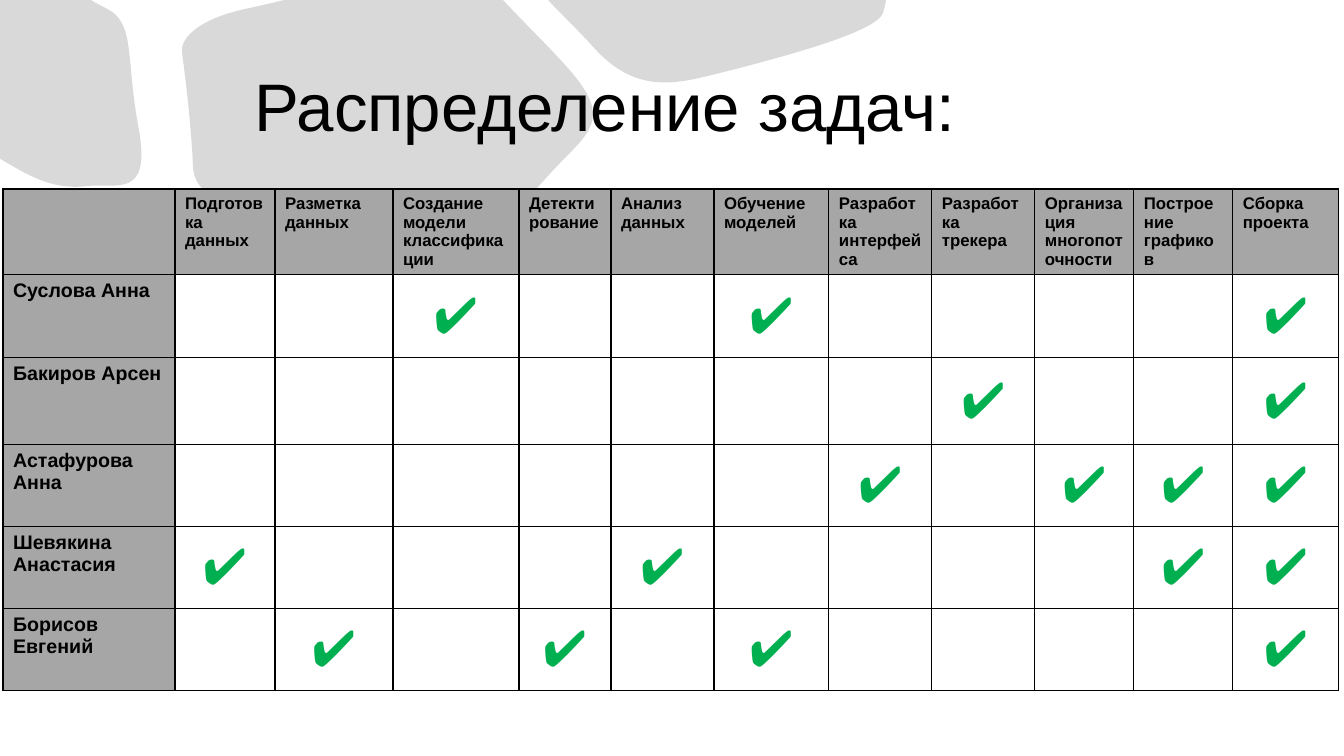
"""Build the task distribution slide: title, stone backdrop and assignment table."""
from lxml import etree
from pptx import Presentation
from pptx.dml.color import RGBColor
from pptx.enum.text import MSO_ANCHOR, PP_ALIGN
from pptx.oxml.ns import qn
from pptx.util import Pt

CENTER = PP_ALIGN.CENTER
LEFT = PP_ALIGN.LEFT
MIDDLE = MSO_ANCHOR.MIDDLE
BOTTOM = MSO_ANCHOR.BOTTOM

SLIDE_W, SLIDE_H = 1344, 756
SCALE = 12192000 / SLIDE_W
BLACK, WHITE, STONE, HEADER, GREEN = "000000", "FFFFFF", "D9D9D9", "A6A6A6", "00B050"

TITLE = "Распределение задач:"
TITLE_BOX = (101, 76, 1008, 69)
TABLE_AT = (3, 189)
COL_WIDTHS = [172, 100, 118, 126, 92, 103, 115, 103, 103, 99, 99, 106]
ROW_HEIGHTS = [83, 83, 87, 82, 82, 82]
TASKS = [
    "Подготовка данных", "Разметка данных", "Создание модели классификации",
    "Детектирование", "Анализ данных", "Обучение моделей",
    "Разработка интерфейса", "Разработка трекера",
    "Организация многопоточности", "Построение графиков", "Сборка проекта",
]
PEOPLE = [
    ("Суслова Анна", {3, 6, 11}),
    ("Бакиров Арсен", {8, 11}),
    ("Астафурова\nАнна", {7, 9, 10, 11}),
    ("Шевякина\nАнастасия", {1, 5, 10, 11}),
    ("Борисов Евгений", {2, 4, 6, 11}),
]
STONES = [
    [(548, 0), (561, 14, 578, 30, 596, 50), (642, 99, 685, 81, 732, 70),
     (782, 57, 877, 32, 883, 13), (884, 10, 885, 6, 886, 0)],
    [(111, 11), (106, 8, 99, 5, 91, 0), (-3, 0), (-3, 157),
     (22, 171, 49, 191, 87, 186), (117, 183, 151, 199, 139, 130),
     (126, 62, 135, 27, 111, 11)],
    [(503, 0), (284, 0), (269, 4, 254, 7, 241, 10), (195, 21, 180, 40, 182, 53),
     (187, 87, 192, 138, 193, 167), (194, 193, 222, 203, 248, 213),
     (271, 222, 374, 256, 397, 264), (397, 264, 449, 287, 478, 256),
     (507, 224, 539, 184, 566, 157), (590, 133, 604, 117, 582, 86),
     (570, 67, 527, 26, 503, 0)],
]


def px(n):
    return round(n * SCALE)


def rgb(color):
    return RGBColor.from_string(color)


def write(tf, text, size, font="Arial", color=BLACK, bold=False, align=LEFT):
    tf.text = text
    for p in tf.paragraphs:
        p.alignment = align
        for r in p.runs:
            r.font.size = Pt(size)
            r.font.name = font
            r.font.bold = bold
            r.font.color.rgb = rgb(color)


def bend(sp, segments):
    lines = list(sp._element.iter(qn("a:lnTo")))
    for line, seg in zip(lines, segments[1:]):
        if len(seg) == 2:
            continue
        line.tag = qn("a:cubicBezTo")
        for i in (2, 0):
            x, y = px(seg[i]) - sp.left, px(seg[i + 1]) - sp.top
            line.insert(0, etree.Element(qn("a:pt"), x=str(x), y=str(y)))


def add_stone(s, segments):
    corners = [(px(seg[-2]), px(seg[-1])) for seg in segments]
    builder = s.shapes.build_freeform(*corners[0])
    builder.add_line_segments(corners[1:], close=False)
    sp = builder.convert_to_shape()
    bend(sp, segments)
    sp.shadow.inherit = False
    sp.fill.solid()
    sp.fill.fore_color.rgb = rgb(STONE)
    sp.line.fill.background()


def style_cell(cell, color):
    tcPr = cell._tc.get_or_add_tcPr()
    for side in ("a:lnL", "a:lnR", "a:lnT", "a:lnB"):
        ln = etree.SubElement(tcPr, qn(side), w=str(Pt(1)))
        fill = etree.SubElement(ln, qn("a:solidFill"))
        etree.SubElement(fill, qn("a:srgbClr"), val=BLACK)
    cell.fill.solid()
    cell.fill.fore_color.rgb = rgb(color)


def add_tasks(s):
    box = (*TABLE_AT, sum(COL_WIDTHS), sum(ROW_HEIGHTS))
    table = s.shapes.add_table(len(ROW_HEIGHTS), len(COL_WIDTHS), *map(px, box)).table
    table.first_row = table.horz_banding = False
    for col, width in zip(table.columns, COL_WIDTHS):
        col.width = px(width)
    for row, height in zip(table.rows, ROW_HEIGHTS):
        row.height = px(height)
    for i in range(len(ROW_HEIGHTS)):
        for j in range(len(COL_WIDTHS)):
            style_cell(table.cell(i, j), WHITE if i and j else HEADER)
    for j, task in enumerate(TASKS, 1):
        write(table.cell(0, j).text_frame, task, 12, bold=True)
    for i, (name, done) in enumerate(PEOPLE, 1):
        write(table.cell(i, 0).text_frame, name, 14, bold=True)
        for j in sorted(done):
            cell = table.cell(i, j)
            cell.vertical_anchor = MIDDLE
            write(cell.text_frame, "✔", 36, "Calibri", GREEN, align=CENTER)


def add_title(s):
    sp = s.shapes.title
    sp.left, sp.top, sp.width, sp.height = map(px, TITLE_BOX)
    tf = sp.text_frame
    tf.margin_left = tf.margin_right = tf.margin_top = tf.margin_bottom = 0
    tf.word_wrap = True
    tf.vertical_anchor = BOTTOM
    write(tf, TITLE, 48, align=CENTER)
    s.shapes._spTree.append(sp._element)


def main():
    prs = Presentation()
    prs.slide_width, prs.slide_height = px(SLIDE_W), px(SLIDE_H)
    s = prs.slides.add_slide(prs.slide_layouts[5])
    s.background.fill.solid()
    s.background.fill.fore_color.rgb = rgb(WHITE)
    for segments in STONES:
        add_stone(s, segments)
    add_tasks(s)
    add_title(s)
    prs.save("out.pptx")


if __name__ == "__main__":
    main()
